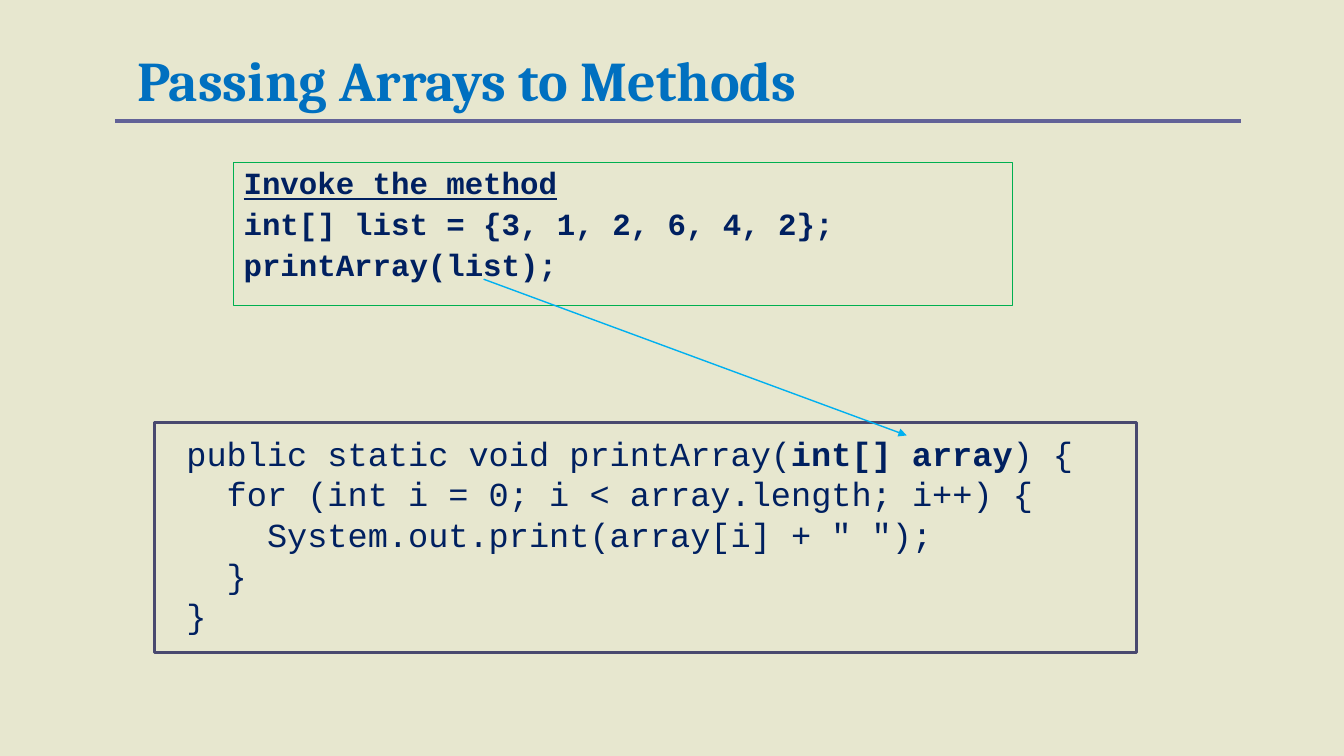
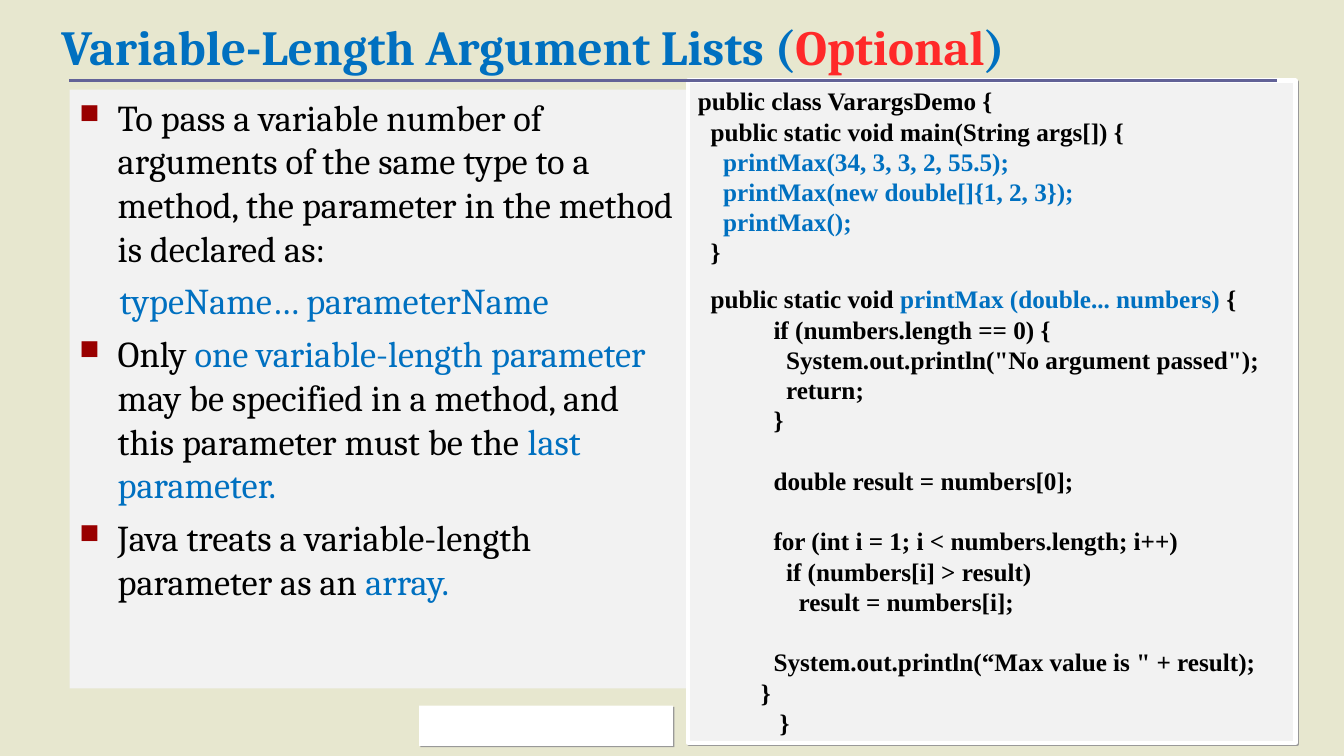
"""Build two slides on passing arrays and variable-length arguments to Java methods."""
from dataclasses import dataclass, field
from typing import Any, NamedTuple

from lxml import etree
from pptx import Presentation
from pptx.dml.color import RGBColor
from pptx.enum.shapes import MSO_CONNECTOR, MSO_SHAPE
from pptx.enum.text import MSO_ANCHOR, PP_ALIGN
from pptx.oxml.ns import qn
from pptx.util import Inches, Pt

RECTANGLE = MSO_SHAPE.RECTANGLE
STRAIGHT = MSO_CONNECTOR.STRAIGHT
TOP, MIDDLE = MSO_ANCHOR.TOP, MSO_ANCHOR.MIDDLE
LEFT = PP_ALIGN.LEFT
TITLE_ONLY = 5

BACKGROUND = RGBColor(0xE7, 0xE7, 0xCF)
PANEL = RGBColor(0xF2, 0xF2, 0xF2)
WHITE = RGBColor(0xFF, 0xFF, 0xFF)
BLACK = RGBColor(0x00, 0x00, 0x00)
BLUE = RGBColor(0x00, 0x70, 0xC0)
NAVY = RGBColor(0x00, 0x20, 0x60)
RED = RGBColor(0xFF, 0x29, 0x29)
GREEN = RGBColor(0x00, 0xB0, 0x50)
SKY = RGBColor(0x00, 0xB0, 0xF0)
FRAME = RGBColor(0x49, 0x49, 0x6F)
RULE = RGBColor(0x62, 0x62, 0x97)
BULLET = RGBColor(0x99, 0x00, 0x00)
SHADOW = RGBColor(0x99, 0x99, 0x99)

CALL_FONT = {"name": "Courier New", "size": Pt(22), "bold": True}
METHOD_FONT = {"name": "Courier New", "size": Pt(24), "bold": False}
POINT_FONT = {"name": "Cambria", "size": Pt(26), "bold": False}
DEMO_FONT = {"name": "Times New Roman", "size": Pt(18), "bold": True}
DEMO_LINE = 21.6


class Run(NamedTuple):
    """A stretch of text with its colour and font changes."""

    text: str
    color: RGBColor = BLACK
    changes: dict[str, Any] = {}


class Box(NamedTuple):
    """A position and size in inches."""

    left: float
    top: float
    width: float
    height: float


@dataclass
class Line:
    """A paragraph with its indents in inches and spacing in points."""

    runs: list[Run]
    left: float = 0
    first: float = 0
    before: float = 0
    bullet: bool = False


@dataclass
class Panel:
    """A rectangle with optional outline, shadow and text."""

    box: Box
    fill: RGBColor | None = None
    outline: RGBColor | None = None
    outline_width: float = 0
    shadow: bool = False
    lines: list[Line] = field(default_factory=list)
    font: dict[str, Any] = field(default_factory=dict)
    line_height: float = 0
    inset_left: float = 0.1
    inset_top: float = 0.05


def add_element(parent: Any, tag: str, **attributes: str) -> Any:
    """Append a drawing element to a parent."""
    return etree.SubElement(parent, qn(tag), attributes)


def add_runs(paragraph: Any, runs: list[Run], font: dict[str, Any]) -> None:
    """Write the runs of a paragraph in the given font."""
    for item in runs:
        run = paragraph.add_run()
        run.text = item.text
        run.font.color.rgb = item.color
        for name, value in {**font, **item.changes}.items():
            setattr(run.font, name, value)


def add_bullet(properties: Any) -> None:
    """Give a paragraph a small square bullet."""
    color = add_element(properties, "a:buClr")
    add_element(color, "a:srgbClr", val=str(BULLET))
    add_element(properties, "a:buSzPct", val="75000")
    add_element(properties, "a:buChar", char="■")


def write_lines(shape: Any, panel: Panel) -> None:
    """Write the paragraphs of a panel."""
    frame = shape.text_frame
    settings = {
        "word_wrap": True,
        "vertical_anchor": TOP,
        "margin_left": Inches(panel.inset_left),
        "margin_top": Inches(panel.inset_top),
    }
    for name, value in settings.items():
        setattr(frame, name, value)
    for index, line in enumerate(panel.lines):
        paragraph = frame.add_paragraph() if index else frame.paragraphs[0]
        properties = paragraph._p.get_or_add_pPr()
        properties.set("marL", str(Inches(line.left)))
        properties.set("indent", str(Inches(line.first)))
        if line.bullet:
            add_bullet(properties)
        paragraph.alignment = LEFT
        paragraph.line_spacing = Pt(panel.line_height)
        paragraph.space_before = Pt(line.before if index else 0)
        add_runs(paragraph, line.runs, panel.font)


def add_panel(slide: Any, panel: Panel) -> None:
    """Draw a panel with its text."""
    shape = slide.shapes.add_shape(RECTANGLE, *map(Inches, panel.box))
    shape.shadow.inherit = False
    if panel.fill is None:
        shape.fill.background()
    else:
        shape.fill.solid()
        shape.fill.fore_color.rgb = panel.fill
    if panel.outline is None:
        shape.line.fill.background()
    else:
        shape.line.color.rgb = panel.outline
        shape.line.width = Pt(panel.outline_width)
    if panel.shadow:
        effects = shape._element.spPr.find(qn("a:effectLst"))
        shadow = add_element(effects, "a:outerShdw", dist=str(Pt(1.4)), dir="2700000", algn="ctr", rotWithShape="0")
        add_element(shadow, "a:srgbClr", val=str(SHADOW))
    if panel.lines:
        write_lines(shape, panel)


def add_line(slide: Any, start: tuple[float, float], end: tuple[float, float],
             color: RGBColor, width: float, arrow: bool = False) -> None:
    """Draw a straight line, with an arrowhead at its end if asked."""
    connector = slide.shapes.add_connector(STRAIGHT, *map(Inches, (*start, *end)))
    connector.line.color.rgb = color
    connector.line.width = Pt(width)
    properties = connector._element.spPr
    add_element(properties, "a:effectLst")
    if arrow:
        add_element(properties.find(qn("a:ln")), "a:tailEnd", type="triangle")


def add_titled_slide(presentation: Any, box: Box, runs: list[Run], size: float) -> Any:
    """Add a slide with a formatted title."""
    slide = presentation.slides.add_slide(presentation.slide_layouts[TITLE_ONLY])
    title = slide.shapes.title
    title.left, title.top, title.width, title.height = map(Inches, box)
    title.text_frame.vertical_anchor = MIDDLE
    title.text_frame.word_wrap = True
    paragraph = title.text_frame.paragraphs[0]
    paragraph.alignment = LEFT
    paragraph.line_spacing = 0.8
    add_runs(paragraph, runs, {"name": "Cambria", "size": Pt(size), "bold": True})
    return slide


def add_rule(slide: Any, left: float, right: float, top: float) -> None:
    """Draw the rule under a title."""
    add_line(slide, (left, top), (right, top), RULE, 2.25)


def add_passing_slide(presentation: Any) -> None:
    """Add the slide on passing arrays."""
    slide = add_titled_slide(presentation, Box(1.26, 0.52, 9.55, 0.65),
                             [Run("Passing Arrays to Methods", BLUE)], 40)
    call = [
        Run("Invoke the method", NAVY, {"underline": True}),
        Run("int[] list = {3, 1, 2, 6, 4, 2};", NAVY),
        Run("printArray(list);", NAVY),
    ]
    method = [
        [Run("public static void printArray(", NAVY), Run("int[] array", NAVY, {"bold": True}), Run(") {", NAVY)],
        [Run("  for (int i = 0; i < array.length; i++) {", NAVY)],
        [Run('    System.out.print(array[i] + " ");', NAVY)],
        [Run("  }", NAVY)],
        [Run("}", NAVY)],
    ]
    add_panel(slide, Panel(Box(2.32, 1.61, 7.73, 1.42), outline=GREEN, outline_width=0.75,
                           lines=[Line([run], before=5.5) for run in call],
                           font=CALL_FONT, line_height=23.76))
    add_panel(slide, Panel(Box(1.53, 4.19, 9.75, 2.28), outline=FRAME, outline_width=2,
                           lines=[Line(runs, before=6) for runs in method],
                           font=METHOD_FONT, line_height=23.04, inset_left=0.32, inset_top=0.18))
    add_line(slide, (4.8, 2.77), (9, 4.32), SKY, 1, arrow=True)
    add_rule(slide, 1.14, 12.32, 1.2)


def body_line(text: str, before: float = 0) -> Line:
    """Return an indented line of the demo method."""
    return Line([Run(text)], left=0.81, first=-0.31, before=before)


def point(*runs: Run) -> Line:
    """Return a bulleted paragraph."""
    return Line(list(runs), left=0.38, first=-0.38, before=6.5, bullet=True)


def add_varargs_slide(presentation: Any) -> None:
    """Add the slide on variable-length argument lists."""
    title = [Run("Variable-Length Argument Lists (", BLUE), Run("Optional", RED), Run(")", BLUE)]
    slide = add_titled_slide(presentation, Box(0.51, 0, 11.16, 1.03), title, 35)
    points = [
        point(Run("To pass a variable number of arguments of the same type to a method, "
                  "the parameter in the method is declared as:")),
        Line([Run("typeName… parameterName", BLUE)], left=0.4, before=6.5),
        point(Run("Only "), Run("one variable-length parameter ", BLUE),
              Run("may be specified in a method, and this parameter must be the "),
              Run("last parameter.", BLUE)),
        point(Run("Java treats a variable-length parameter as an "), Run("array.", BLUE)),
    ]
    demo = [
        Line([Run("public class VarargsDemo {")]),
        Line([Run("  public static void main(String args[]) {")]),
        Line([Run("    printMax(34, 3, 3, 2, 55.5);", BLUE)]),
        Line([Run("    printMax(new double[]{1, 2, 3});", BLUE)]),
        Line([Run("    printMax();", BLUE)]),
        Line([Run("  }")]),
        Line([Run("  public static void"), Run(" printMax (double... numbers) ", BLUE), Run("{")], before=12),
        body_line("    if (numbers.length == 0) {"),
        body_line('      System.out.println("No argument passed");'),
        body_line("      return;"),
        body_line("    }"),
        body_line("    double result = numbers[0];", DEMO_LINE),
        body_line("    for (int i = 1; i < numbers.length; i++)", DEMO_LINE),
        body_line("      if (numbers[i] > result)"),
        body_line("        result = numbers[i];"),
        body_line('    System.out.println(“Max value is " + result);', DEMO_LINE),
        body_line("  }"),
        Line([Run("}")], left=0.81),
    ]
    panels = [
        Panel(Box(0.69, 0.89, 6.18, 5.94), PANEL, lines=points, font=POINT_FONT, line_height=31.2),
        Panel(Box(6.83, 0.8, 6.03, 6.57), PANEL, WHITE, 3, shadow=True,
              lines=demo, font=DEMO_FONT, line_height=DEMO_LINE),
        Panel(Box(4.16, 7, 2.52, 0.4), WHITE, shadow=True),
    ]
    for panel in panels:
        add_panel(slide, panel)
    add_rule(slide, 0.69, 12.68, 0.8)


def main() -> None:
    """Build and save the presentation."""
    presentation = Presentation()
    presentation.slide_width = Inches(13.34)
    presentation.slide_height = Inches(7.5)
    background = presentation.slide_master.background.fill
    background.solid()
    background.fore_color.rgb = BACKGROUND
    add_passing_slide(presentation)
    add_varargs_slide(presentation)
    presentation.save("out.pptx")


if __name__ == "__main__":
    main()
